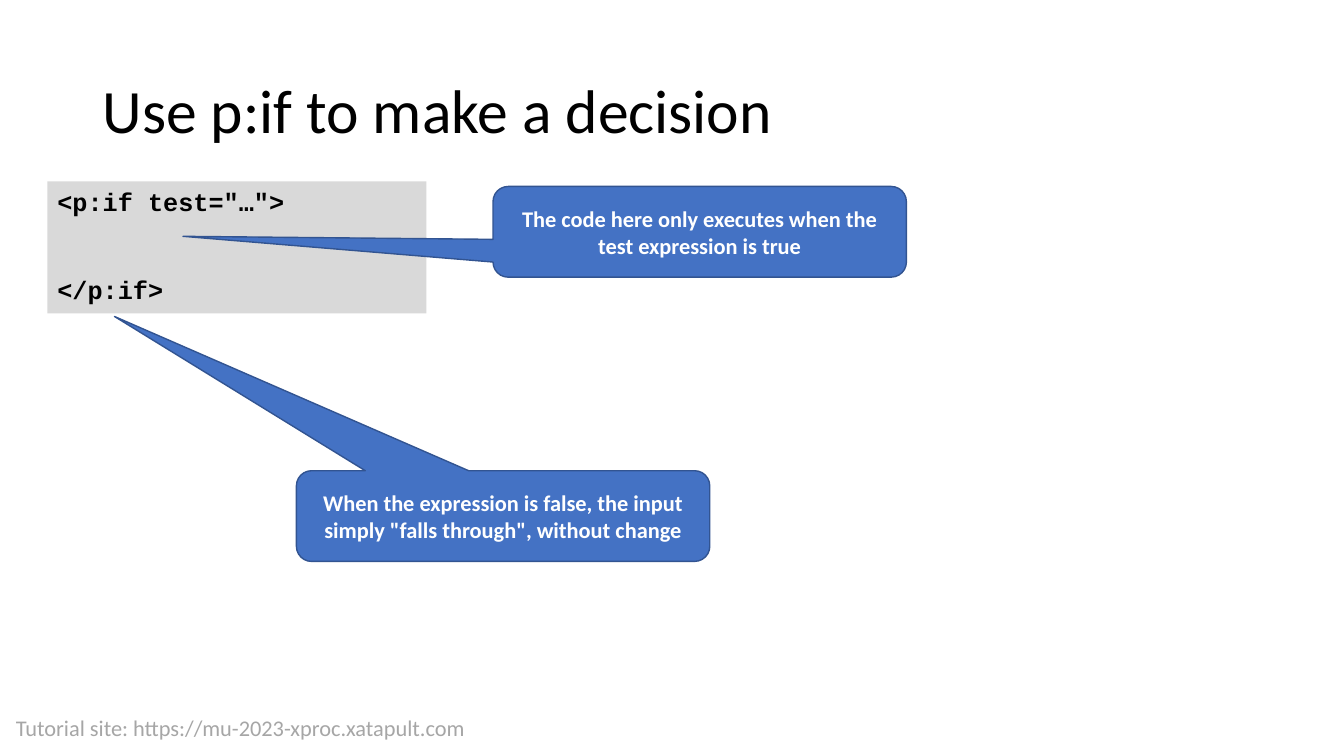
from pptx import Presentation
from pptx.dml.color import RGBColor
from pptx.enum.shapes import MSO_SHAPE
from pptx.enum.text import MSO_ANCHOR, PP_ALIGN
from pptx.util import Inches, Pt

RECT = MSO_SHAPE.RECTANGLE
CALLOUT = MSO_SHAPE.ROUNDED_RECTANGULAR_CALLOUT
TOP, MIDDLE = MSO_ANCHOR.TOP, MSO_ANCHOR.MIDDLE
LEFT, CENTER = PP_ALIGN.LEFT, PP_ALIGN.CENTER

BLACK = RGBColor(0x00, 0x00, 0x00)
WHITE = RGBColor(0xFF, 0xFF, 0xFF)
GRAY = RGBColor(0xA6, 0xA6, 0xA6)
PALE = RGBColor(0xD9, 0xD9, 0xD9)
BLUE = RGBColor(0x44, 0x72, 0xC4)
NAVY = RGBColor(0x32, 0x54, 0x91)
SANS, MONO = "Calibri", "Courier New"


def write(frame, lines, size, color, face=SANS, bold=False, align=LEFT, anchor=TOP):
    frame.word_wrap = True
    frame.vertical_anchor = anchor
    for i, line in enumerate(lines):
        para = frame.add_paragraph() if i else frame.paragraphs[0]
        para.text = line
        para.alignment = align
        font = para.font
        font.name, font.size, font.bold = face, Pt(size), bold
        font.color.rgb = color


def add_title(slide, text):
    title = slide.shapes.title
    title.left, title.top = Inches(0.92), Inches(0.4)
    title.width, title.height = Inches(11.5), Inches(1.45)
    write(title.text_frame, [text], 44, BLACK, anchor=MIDDLE)
    title.text_frame.paragraphs[0].line_spacing = 0.9


def add_footer(slide, text):
    box = slide.shapes.add_textbox(Inches(0.06), Inches(7.04), Inches(5.91), Inches(0.37))
    write(box.text_frame, [text], 16, GRAY)


def add_block(slide, kind, left, top, width, height, fill):
    block = slide.shapes.add_shape(
        kind, Inches(left), Inches(top), Inches(width), Inches(height))
    block.shadow.inherit = False
    block.fill.solid()
    block.fill.fore_color.rgb = fill
    return block


def add_code(slide, lines, gap):
    block = add_block(slide, RECT, 0.47, 1.8, 3.76, 1.31, PALE)
    block.line.fill.background()
    write(block.text_frame, lines, 18, BLACK, MONO, True)
    block.text_frame.paragraphs[-1].space_before = Pt(gap)


def add_callout(slide, text, left, top, tip):
    block = add_block(slide, CALLOUT, left, top, 4.1, 0.9, BLUE)
    block.line.color.rgb = NAVY
    block.line.width = Pt(1)
    block.adjustments[0], block.adjustments[1] = tip
    write(block.text_frame, [text], 16, WHITE, bold=True, align=CENTER, anchor=MIDDLE)


def main():
    deck = Presentation()
    deck.slide_width, deck.slide_height = Inches(13.33), Inches(7.5)
    slide = deck.slides.add_slide(deck.slide_layouts.get_by_name("Title Only"))
    add_footer(slide, "Tutorial site: https://mu-2023-xproc.xatapult.com")
    add_title(slide, "Use p:if to make a decision")
    add_code(slide, ['<p:if test="…">', "</p:if>"], 41)
    add_callout(slide, "The code here only executes when the test expression is true",
                4.89, 1.85, (-1.25, 0.05))
    add_callout(slide, 'When the expression is false, the input simply "falls through", without change',
                2.94, 4.67, (-0.94, -2.2))
    deck.save("out.pptx")


if __name__ == "__main__":
    main()
